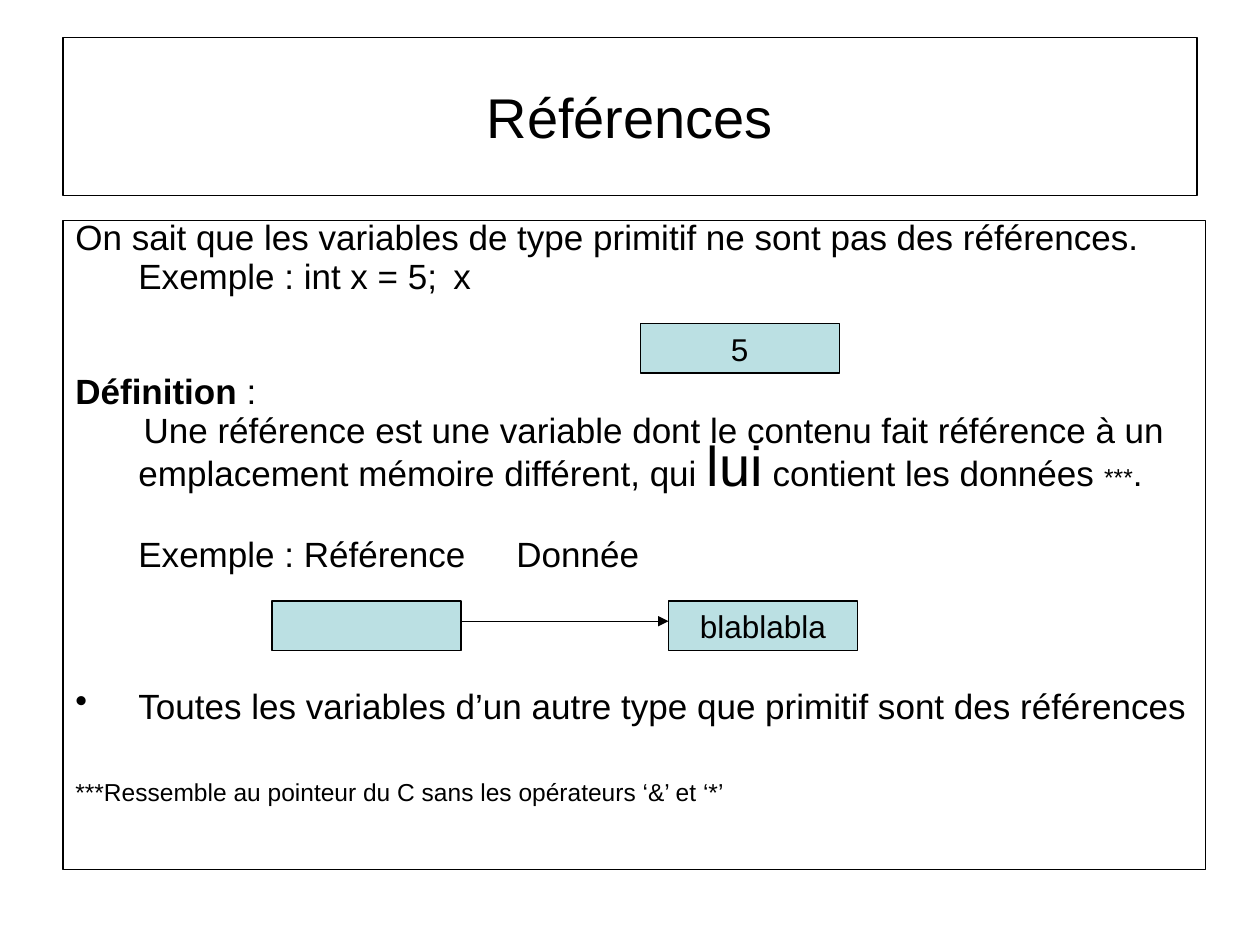
import pptx
import pptx.util
import pptx.dml.color
import pptx.enum.shapes
import pptx.enum.text
import pptx.oxml
import pptx.oxml.ns
from pptx.util import Pt

BLACK = "000000"
WHITE = "FFFFFF"
MEMORY_BLUE = "BBE0E3"
FONT = "Arial"
LEFT = pptx.enum.text.PP_ALIGN.LEFT
CENTER = pptx.enum.text.PP_ALIGN.CENTER


def color(hex_string):
    return pptx.dml.color.RGBColor.from_string(hex_string)


def append_xml(parent, markup):
    namespaces = pptx.oxml.ns.nsdecls("a")
    tag, rest = markup.split(" ", 1)
    parent.append(pptx.oxml.parse_xml(f"{tag} {namespaces} {rest}"))


def set_font(font, size):
    font.name = FONT
    font.size = Pt(size)
    font.color.rgb = color(BLACK)


def add_box(slide, box, fill=None):
    shape = slide.shapes.add_shape(
        pptx.enum.shapes.MSO_SHAPE.RECTANGLE, *(Pt(length) for length in box))
    shape.shadow.inherit = False
    if fill:
        shape.fill.solid()
        shape.fill.fore_color.rgb = color(fill)
    else:
        shape.fill.background()
    shape.line.color.rgb = color(BLACK)
    shape.line.width = Pt(0.75)
    return shape


def add_centered_box(slide, box, text, size, fill=None, wrap=True):
    shape = add_box(slide, box, fill)
    if text:
        frame = shape.text_frame
        frame.word_wrap = wrap
        frame.vertical_anchor = pptx.enum.text.MSO_ANCHOR.MIDDLE
        paragraph = frame.paragraphs[0]
        paragraph.text = text
        paragraph.alignment = CENTER
        set_font(paragraph.font, size)
    return shape


def format_paragraph(paragraph, before, size=20, margin=0, indent=0, tabs=(), bullet=False):
    paragraph.alignment = LEFT
    paragraph.line_spacing = 0.7
    paragraph.space_before = Pt(before)
    properties = paragraph._p.get_or_add_pPr()
    properties.set("marL", str(Pt(margin)))
    properties.set("indent", str(Pt(indent)))
    append_xml(properties, '<a:buChar char="•"/>' if bullet else "<a:buNone />")
    if tabs:
        stops = "".join(f'<a:tab pos="{Pt(tab)}" algn="l"/>' for tab in tabs)
        append_xml(properties, f"<a:tabLst >{stops}</a:tabLst>")
    set_font(paragraph.font, size)


def add_body(slide, box):
    """Each entry holds the runs (text, own font settings) and the paragraph format."""
    entries = [
        ([("On sait que les variables de type primitif ne sont pas des références.", {})],
         dict(before=5.5)),
        ([("\tExemple : int x = 5;\tx", {})], dict(before=5.5, tabs=(72, 370.5))),
        ([("Définition", {"bold": True}), (" :", {})], dict(before=49)),
        ([("Une référence est une variable dont le contenu fait référence à un "
           "emplacement mémoire différent, qui ", {}),
          ("lui", {"size": Pt(32)}),
          (" contient les données ", {}),
          ("***", {"size": Pt(14)}),
          (".", {})],
         dict(before=5.5, margin=36, indent=3)),
        ([("\tExemple : Référence\tDonnée", {})], dict(before=27, tabs=(27.8, 359))),
        ([("Toutes les variables d’un autre type que primitif sont des références", {})],
         dict(before=70.5, margin=36, indent=-36, bullet=True)),
        ([("***Ressemble au pointeur du C sans les opérateurs ‘&’ et ‘*’", {})],
         dict(before=34, size=14)),
    ]
    frame = add_box(slide, box).text_frame
    frame.word_wrap = True
    frame.vertical_anchor = pptx.enum.text.MSO_ANCHOR.TOP
    for index, (runs, layout) in enumerate(entries):
        paragraph = frame.add_paragraph() if index else frame.paragraphs[0]
        format_paragraph(paragraph, **layout)
        for text, settings in runs:
            run = paragraph.add_run()
            run.text = text
            for name, value in settings.items():
                setattr(run.font, name, value)


def add_arrow(slide, start_x, end_x, y):
    arrow = slide.shapes.add_connector(
        pptx.enum.shapes.MSO_CONNECTOR.STRAIGHT, Pt(start_x), Pt(y), Pt(end_x), Pt(y))
    arrow.line.color.rgb = color(BLACK)
    arrow.line.width = Pt(0.75)
    append_xml(arrow.line._get_or_add_ln(), '<a:tailEnd type="triangle"/>')
    append_xml(arrow._element.spPr, "<a:effectLst />")


def add_reference_diagram(slide, box):
    """A reference cell at the left of the box points to a data cell at its right."""
    left, top, width, height = box
    cell_width = 108
    data_left = left + width - cell_width
    add_centered_box(slide, (left, top, cell_width, height), "", 18, MEMORY_BLUE)
    add_arrow(slide, left + cell_width, data_left, top + 11.5)
    add_centered_box(slide, (data_left, top, cell_width, height), "blablabla", 18,
                     MEMORY_BLUE, wrap=False)


def main():
    presentation = pptx.Presentation()
    presentation.slide_width = Pt(720)
    presentation.slide_height = Pt(540)
    slide = presentation.slides.add_slide(presentation.slide_layouts[6])
    slide.background.fill.solid()
    slide.background.fill.fore_color.rgb = color(WHITE)
    add_centered_box(slide, (36, 21.6, 648, 90), "Références", 32)
    add_body(slide, (36, 126, 653, 371))
    add_centered_box(slide, (365.8, 185, 113.8, 28.2), "5", 18, MEMORY_BLUE, wrap=False)
    add_reference_diagram(slide, (155.5, 343.5, 334.5, 28.2))
    presentation.save("out.pptx")


if __name__ == "__main__":
    main()
